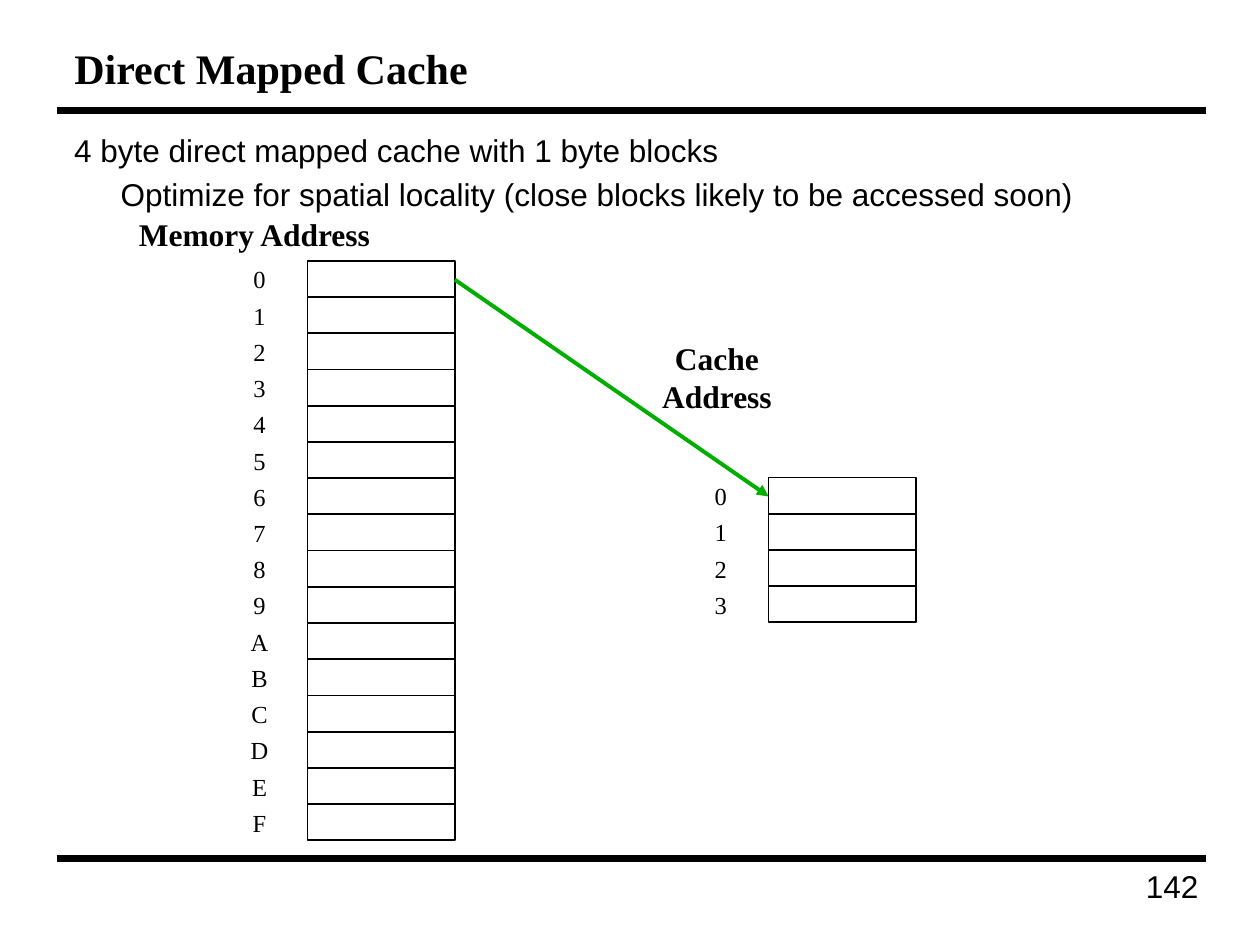
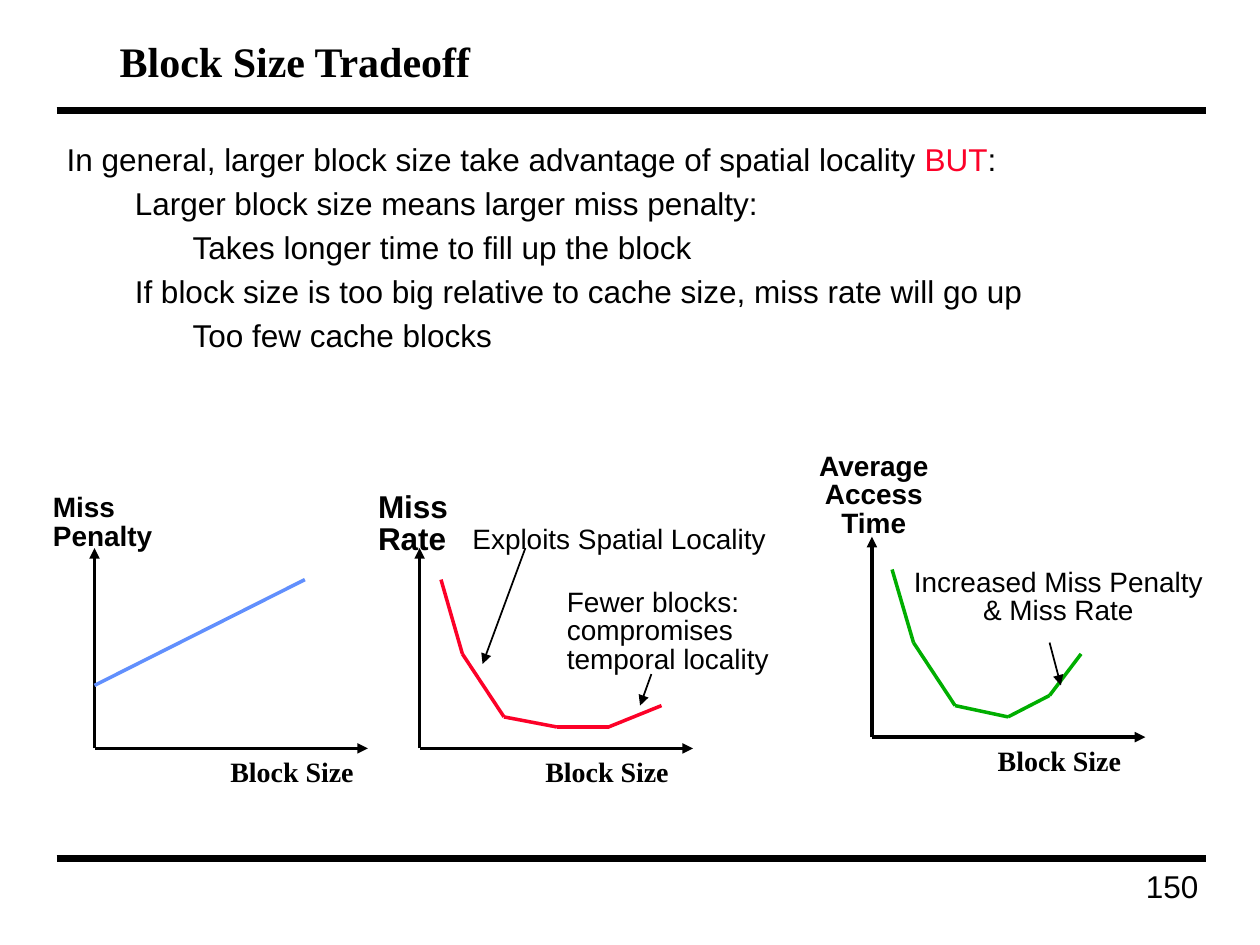
from dataclasses import dataclass
from itertools import pairwise
from typing import Any, NamedTuple

from lxml.etree import SubElement
from pptx import Presentation
from pptx.dml.color import RGBColor
from pptx.enum.shapes import MSO_CONNECTOR, MSO_SHAPE
from pptx.enum.text import MSO_ANCHOR, MSO_AUTO_SIZE, PP_ALIGN
from pptx.oxml.ns import qn
from pptx.util import Inches, Pt


@dataclass(frozen=True)
class Theme:
    black: str = "000000"
    white: str = "FFFFFF"
    red: str = "FC0128"
    green: str = "00AE00"
    blue: str = "618FFD"
    sans: str = "Arial"
    serif: str = "Times New Roman"
    title: int = 24
    body: int = 18
    label: int = 16
    cell: int = 14
    band: float = 4
    gap: float = 3.6  # points between body lines
    tight: float = 0.85  # line spacing of plot labels


THEME = Theme()
WIDE, SLIM = (0.1, 0.05), (0.07, 0.03)  # text insets


class Point(NamedTuple):
    x: float
    y: float


class Box(NamedTuple):
    x: float
    y: float
    w: float
    h: float


class Para(NamedTuple):
    text: str
    indent: float = 0
    hot: str = ""  # part shown in red


class Note(NamedTuple):
    box: Box
    lines: list[str]
    bold: bool = False
    size: int = THEME.label
    align: PP_ALIGN = PP_ALIGN.LEFT


class Plot(NamedTuple):
    base: Point
    axis: float  # left edge of the axis label
    color: str
    curve: list[Point]
    notes: list[Note]
    arrows: list[tuple[Point, Point]]


def inch(vals: Any) -> list[Any]:
    return [Inches(val) for val in vals]


def write(frame: Any, lines: list[Any], *, size: int = THEME.body, face: str = THEME.sans,
          bold: bool = False, align: PP_ALIGN = PP_ALIGN.LEFT, wrap: bool = False,
          inset: tuple[float, float] = WIDE, lead: float = 1, gap: float = 0,
          anchor: MSO_ANCHOR = MSO_ANCHOR.TOP) -> None:
    """Fill a text frame with one paragraph per line."""
    frame.word_wrap = wrap
    frame.auto_size = MSO_AUTO_SIZE.NONE if wrap else MSO_AUTO_SIZE.SHAPE_TO_FIT_TEXT
    frame.vertical_anchor = anchor
    frame.margin_left = frame.margin_right = Inches(inset[0])
    frame.margin_top = frame.margin_bottom = Inches(inset[1])
    for num, line in enumerate(lines):
        item = line if isinstance(line, Para) else Para(line)
        para = frame.add_paragraph() if num else frame.paragraphs[0]
        head, hit, tail = item.text.partition(item.hot) if item.hot else (item.text, "", "")
        para.text = head
        for part in filter(None, (hit, tail)):
            para.add_run().text = part
        para.alignment, para.line_spacing = align, lead
        para.space_before = Pt(gap if num else 0)
        if item.indent:
            para._p.get_or_add_pPr().set("marL", str(Inches(item.indent)))
        for run in para.runs:
            font = run.font
            font.name, font.size, font.bold = face, Pt(size), bold
            tone = THEME.red if item.hot and run.text == item.hot else THEME.black
            font.color.rgb = RGBColor.from_string(tone)


def label(shapes: Any, box: Box, lines: list[Any], **form: Any) -> None:
    write(shapes.add_textbox(*inch(box)).text_frame, lines, **form)


def stroke(slide: Any, start: Point, end: Point, color: str = THEME.black,
           width: float = 2, arrow: bool = False) -> None:
    """Draw a straight line, with an arrowhead at its end if asked."""
    line = slide.shapes.add_connector(MSO_CONNECTOR.STRAIGHT, *inch((*start, *end)))
    line.line.color.rgb = RGBColor.from_string(color)
    line.line.width = Pt(width)
    if arrow:
        SubElement(line.line._get_or_add_ln(), qn("a:tailEnd"), type="triangle")
    SubElement(line._element.spPr, qn("a:effectLst"))


def start(deck: Any, title: str, box: Box, page: int, **form: Any) -> Any:
    """Add a slide with the shared bands, page number and title."""
    slide = deck.slides.add_slide(deck.slide_layouts[5])
    for y in (0.88, 6.81):
        stroke(slide, Point(0.45, y), Point(9.57, y), width=THEME.band)
    label(slide.shapes, Box(7.56, 6.83, 2.05, 0.49), [str(page)],
          align=PP_ALIGN.RIGHT, wrap=True)
    head = slide.shapes.title
    head.left, head.top, head.width, head.height = inch(box)
    write(head.text_frame, [title], size=THEME.title, face=THEME.serif, bold=True, **form)
    return slide


def stack(slide: Any, x: float, y: float, names: str) -> None:
    """Draw a column of memory cells, each with its address to the left."""
    step = 4.6 / 16
    shapes = slide.shapes.add_group_shape().shapes
    for row, name in enumerate(names):
        top = y + row * step
        cell = shapes.add_shape(MSO_SHAPE.RECTANGLE, *inch((x, top, 1.17, step)))
        cell.shadow.inherit = False
        cell.fill.solid()
        cell.fill.fore_color.rgb = RGBColor.from_string(THEME.white)
        cell.line.color.rgb = RGBColor.from_string(THEME.black)
        cell.line.width = Pt(1)
        label(shapes, Box(x - 0.55, top - 0.02, 0.34, 0.33), [name], size=THEME.cell,
              face=THEME.serif, align=PP_ALIGN.CENTER)


def graph(slide: Any, plot: Plot) -> None:
    """Draw axes, curve, labels and pointers of one plot."""
    x, y = plot.base
    for end in (Point(x, y - 1.59), Point(x + 2.17, y)):
        stroke(slide, plot.base, end, arrow=True)
    for a, b in pairwise(plot.curve):
        stroke(slide, a, b, plot.color)
    for a, b in plot.arrows:
        stroke(slide, a, b, width=1, arrow=True)
    for note in plot.notes:
        label(slide.shapes, note.box, note.lines, size=note.size, bold=note.bold,
              align=note.align, inset=SLIM, lead=THEME.tight)
    label(slide.shapes, Box(plot.axis, y, 1.18, 0.36), ["Block Size"],
          size=THEME.label, face=THEME.serif, bold=True)


PLOTS = [
    Plot(Point(0.75, 5.94), 1.73, THEME.blue, [Point(0.75, 5.44), Point(2.42, 4.6)],
         [Note(Box(0.35, 3.9, 0.95, 0.51), ["Miss", "Penalty"], True)], []),
    Plot(Point(3.33, 5.94), 4.23, THEME.red,
         [Point(3.5, 4.6), Point(3.67, 5.19), Point(4, 5.69), Point(4.42, 5.77),
          Point(4.83, 5.77), Point(5.25, 5.6)],
         [Note(Box(2.93, 3.88, 0.75, 0.57), ["Miss", "Rate"], True, THEME.body),
          Note(Box(3.68, 4.15, 2.5, 0.28), ["Exploits Spatial Locality"]),
          Note(Box(4.43, 4.65, 1.8, 0.74),
               ["Fewer blocks:", "compromises", "temporal locality"])],
         [(Point(4.17, 4.35), Point(3.83, 5.27)), (Point(5.17, 5.35), Point(5.08, 5.6))]),
    Plot(Point(6.92, 5.85), 7.82, THEME.green,
         [Point(7.08, 4.52), Point(7.25, 5.1), Point(7.58, 5.6), Point(8, 5.69),
          Point(8.33, 5.52), Point(8.58, 5.19)],
         [Note(Box(6.43, 3.57, 1.01, 0.74), ["Average", "Access", "Time"], True,
               align=PP_ALIGN.CENTER),
          Note(Box(7.18, 4.49, 2.44, 0.51), ["Increased Miss Penalty", "& Miss Rate"],
               align=PP_ALIGN.CENTER)],
         [(Point(8.33, 5.1), Point(8.42, 5.44))]),
]


def cache(deck: Any) -> None:
    slide = start(deck, "Direct Mapped Cache", Box(0.49, 0.25, 9.04, 0.58), 142,
                  wrap=True, anchor=MSO_ANCHOR.MIDDLE)
    label(slide.shapes, Box(0.49, 0.99, 9.04, 5.76), [
        "4 byte direct mapped cache with 1 byte blocks",
        Para("Optimize for spatial locality (close blocks likely to be accessed soon)", 0.37),
    ], wrap=True, gap=THEME.gap)
    # Memory and cache columns
    stack(slide, 2.44, 2.07, "0123456789ABCDEF")
    stack(slide, 6.1, 3.79, "0123")
    for box, text in ((Box(0.99, 1.66, 2.06, 0.4), "Memory Address"),
                      (Box(5.15, 2.64, 1.08, 0.7), "Cache\vAddress")):
        label(slide.shapes, box, [text], face=THEME.serif, bold=True,
              align=PP_ALIGN.CENTER)
    # Mapping of the first block
    stroke(slide, Point(3.61, 2.22), Point(6.1, 3.94), THEME.green, 2.25, True)


def tradeoff(deck: Any) -> None:
    slide = start(deck, "Block Size Tradeoff", Box(0.88, 0.25, 2.95, 0.45), 150,
                  inset=SLIM)
    label(slide.shapes, Box(0.46, 1.08, 8.96, 1.8), [
        Para("In general, larger block size take advantage of spatial locality BUT:",
             hot="BUT"),
        Para("Larger block size means larger miss penalty:", 0.54),
        Para("Takes longer time to fill up the block", 1),
        Para("If block size is too big relative to cache size, miss rate will go up", 0.54),
        Para("Too few cache blocks", 1),
    ], wrap=True, inset=SLIM, gap=THEME.gap)
    for plot in PLOTS:
        graph(slide, plot)


def main() -> None:
    deck = Presentation()
    deck.slide_width, deck.slide_height = inch((10, 7.5))
    cache(deck)
    tradeoff(deck)
    deck.save("out.pptx")


if __name__ == "__main__":
    main()
